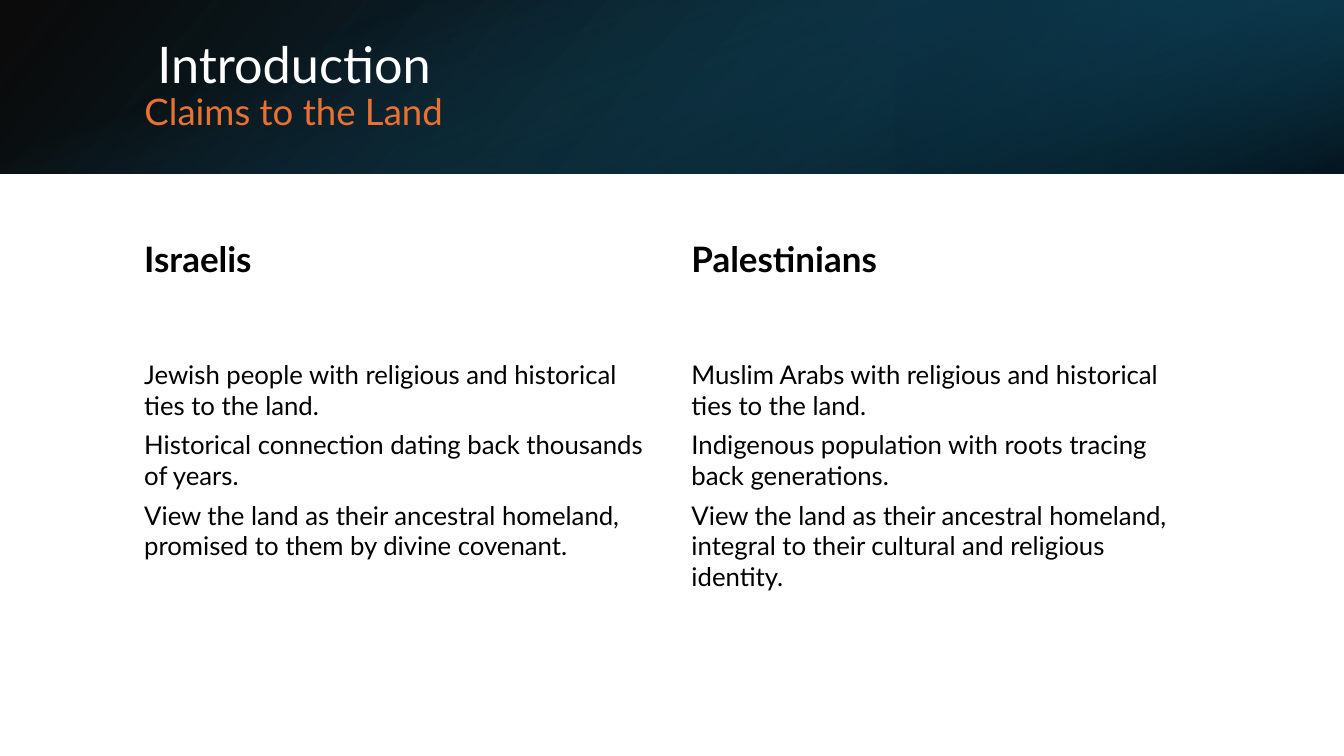
from lxml.etree import SubElement
from pptx import Presentation
from pptx.dml.color import RGBColor
from pptx.enum.shapes import MSO_SHAPE
from pptx.enum.text import MSO_ANCHOR, MSO_AUTO_SIZE, PP_ALIGN
from pptx.oxml.ns import qn
from pptx.util import Pt

BLACK = RGBColor(0x00, 0x00, 0x00)
WHITE = RGBColor(0xFF, 0xFF, 0xFF)
ORANGE = RGBColor(0xE9, 0x71, 0x32)
DEEP_BLUE = RGBColor(0x10, 0x48, 0x62)
NIGHT_BLUE = RGBColor(0x0B, 0x30, 0x41)
TEAL = RGBColor(0x15, 0x60, 0x82)

WIDTH, HEIGHT, BANNER = 960, 540, 124
COMPARISON_LAYOUT = 4


class SlideBuilder:
    """Holds the style and the slide being built."""

    font_name = "Lato"

    def __init__(self, slide):
        self.slide = slide
        self.title_shape = slide.shapes.title

    def band(self, left, top, width, height, stops, angle, rotation=0, flip=False):
        """Add a gradient band behind the text; stops are (percent, colour, opacity)."""
        shape = self.slide.shapes.add_shape(
            MSO_SHAPE.RECTANGLE, Pt(left), Pt(top), Pt(width), Pt(height))
        shape.shadow.inherit = False
        shape.line.fill.background()
        shape.rotation = rotation
        if flip:
            shape.element.spPr.find(qn("a:xfrm")).set("flipH", "1")
        shape.fill.gradient()
        shape.fill.gradient_angle = 360 - angle
        for stop, (percent, color, _) in zip(shape.fill.gradient_stops, stops):
            stop.position = percent / 100
            stop.color.rgb = color
        for color_element, (_, _, opacity) in zip(shape.element.iter(qn("a:srgbClr")), stops):
            SubElement(color_element, qn("a:alpha")).set("val", str(opacity * 1000))
        self.title_shape.element.addprevious(shape.element)

    def place(self, shape, left, top, width, height, anchor):
        """Move a placeholder and return its text frame."""
        shape.left, shape.top = Pt(left), Pt(top)
        shape.width, shape.height = Pt(width), Pt(height)
        frame = shape.text_frame
        frame.word_wrap = True
        frame.auto_size = MSO_AUTO_SIZE.NONE
        frame.vertical_anchor = anchor
        return frame

    def style(self, run, size, color, bold=False):
        run.font.name = self.font_name
        run.font.size = Pt(size)
        run.font.color.rgb = color
        run.font.bold = bold

    def title(self, heading, subheading, *box):
        frame = self.place(self.title_shape, *box, MSO_ANCHOR.MIDDLE)
        frame.text = f"{heading}\v{subheading}"
        paragraph = frame.paragraphs[0]
        paragraph.alignment = PP_ALIGN.LEFT
        paragraph.line_spacing = 0.9
        self.style(paragraph.runs[0], 36, WHITE)
        self.style(paragraph.runs[1], 26.1, ORANGE)

    def body(self, index, lines, box, size, bold=False, inset=3.6):
        """Fill a body placeholder with unbulleted paragraphs."""
        frame = self.place(self.slide.placeholders[index], *box, MSO_ANCHOR.TOP)
        frame.margin_top = Pt(inset)
        frame.text = "\n".join(lines)
        for paragraph in frame.paragraphs:
            paragraph.alignment = PP_ALIGN.LEFT
            paragraph.line_spacing = 1.0
            paragraph.space_before = Pt(0)
            paragraph.space_after = Pt(6)
            properties = paragraph.runs[0].font and paragraph._p.get_or_add_pPr()
            properties.set("marL", "0")
            properties.set("indent", "0")
            SubElement(properties, qn("a:buNone"))
            self.style(paragraph.runs[0], size, BLACK, bold)


def main():
    presentation = Presentation()
    presentation.slide_width, presentation.slide_height = Pt(WIDTH), Pt(HEIGHT)
    layout = presentation.slide_layouts[COMPARISON_LAYOUT]
    builder = SlideBuilder(presentation.slides.add_slide(layout))

    # Banner: three translucent gradients on top of each other
    builder.band(0, 0, WIDTH, BANNER,
                 [(0, BLACK, 96), (100, DEEP_BLUE, 100)], 140, flip=True)
    builder.band(WIDTH * 2 / 3, 0, WIDTH / 3, BANNER,
                 [(19, NIGHT_BLUE, 68), (100, TEAL, 79)], 320, rotation=180, flip=True)
    offset = (WIDTH - BANNER) / 2
    builder.band(offset, -offset, BANNER, WIDTH,
                 [(23, TEAL, 0), (99, BLACK, 74)], 340, rotation=90)

    # Title
    builder.title(" Introduction", "Claims to the Land", 96, 27.4, 790.6, 69)

    # Two columns, each a heading above its claims
    columns = [
        (95.8, 378, "Israelis", [
            "Jewish people with religious and historical ties to the land.",
            "Historical connection dating back thousands of years.",
            "View the land as their ancestral homeland, promised to them by divine covenant.",
        ]),
        (486.7, 379.4, "Palestinians", [
            "Muslim Arabs with religious and historical ties to the land.",
            "Indigenous population with roots tracing back generations.",
            "View the land as their ancestral homeland, "
            "integral to their cultural and religious identity.",
        ]),
    ]
    for number, (left, width, heading, claims) in enumerate(columns):
        index = 1 + 2 * number
        builder.body(index, [heading], (left, 166.3, width, 60.5), 25, bold=True)
        builder.body(index + 1, claims, (left, 226.8, width, 270), 18.4, inset=29.5)

    presentation.save("out.pptx")


if __name__ == "__main__":
    main()
